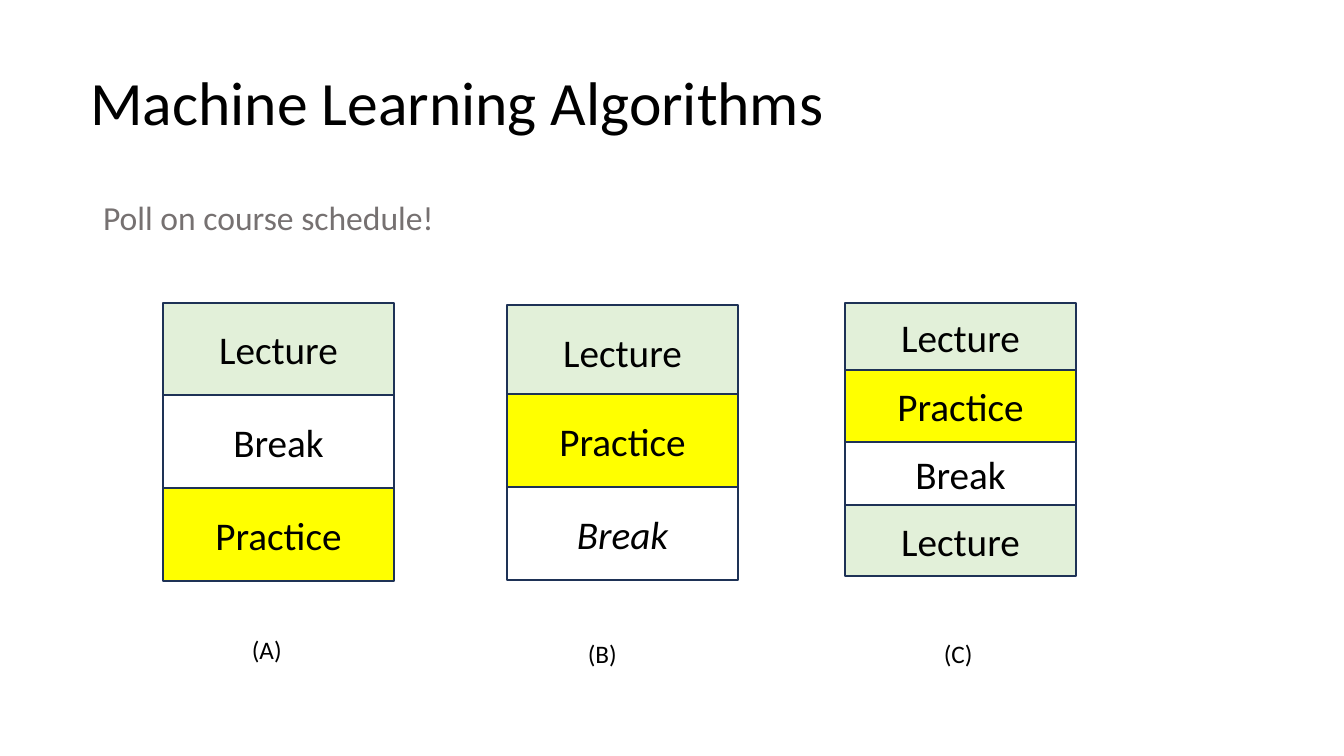
from pptx import Presentation
from pptx.dml.color import RGBColor as RGB
from pptx.enum.shapes import MSO_SHAPE as Shape
from pptx.enum.text import MSO_ANCHOR as Anchor, MSO_AUTO_SIZE as Fit, PP_ALIGN as Align
from pptx.oxml.ns import qn
from pptx.util import Pt

BLACK = RGB(0x00, 0x00, 0x00)
WHITE = RGB(0xFF, 0xFF, 0xFF)
GREY = RGB(0x76, 0x71, 0x71)
GREEN = RGB(0xE2, 0xF0, 0xD9)
YELLOW = RGB(0xFF, 0xFF, 0x00)
NAVY = RGB(0x1E, 0x32, 0x56)

FILLS = {"Lecture": GREEN, "Break": WHITE, "Practice": YELLOW}
BLOCK_WIDTH = 231

PLANS = [
    (163, [("Lecture", 303, 92), ("Break", 395, 93), ("Practice", 488, 93)]),
    (507, [("Lecture", 305, 93), ("Practice", 394, 93), ("Break", 487, 93)]),
    (845, [("Lecture", 303, 67), ("Practice", 370, 72),
           ("Break", 442, 63), ("Lecture", 505, 71)]),
]
LABELS = [("(A)", 242, 629), ("(B)", 578, 633), ("(C)", 934, 633)]


def px(count):
    return round(count * 914400 / 100.8)


def apply(target, values):
    for name, value in values.items():
        setattr(target, name, value)


class Deck:
    face = "Calibri"

    def __init__(self, width, height):
        self.file = Presentation()
        apply(self.file, {"slide_width": px(width), "slide_height": px(height)})
        self.slide = self.file.slides.add_slide(self.file.slide_layouts[1])

    def letter(self, shape, text, size, color=BLACK, frame=None, para=None, font=None):
        box = shape.text_frame
        box.text = text
        apply(box, frame or {})
        line = box.paragraphs[0]
        apply(line, para or {})
        style = line.runs[0].font
        apply(style, {"name": self.face, "size": Pt(size), **(font or {})})
        style.color.rgb = color
        return line

    def place(self, shape, left, top, width, height):
        apply(shape, {"left": px(left), "top": px(top),
                      "width": px(width), "height": px(height)})
        return shape

    def title(self, text, *area):
        shape = self.place(self.slide.shapes.title, *area)
        self.letter(shape, text, 44,
                    frame={"vertical_anchor": Anchor.BOTTOM, "auto_size": Fit.NONE},
                    para={"alignment": Align.LEFT, "line_spacing": 0.9})

    def body(self, text, *area):
        shape = self.place(self.slide.placeholders[1], *area)
        line = self.letter(shape, text, 24, GREY, frame={"auto_size": Fit.NONE},
                           para={"space_before": Pt(10)})
        props = line._p.get_or_add_pPr()
        for name in ("marL", "indent"):
            props.set(name, "0")
        props.append(props.makeelement(qn("a:buNone"), {}))

    def block(self, text, left, top, height, slant):
        area = map(px, (left, top, BLOCK_WIDTH, height))
        shape = self.slide.shapes.add_shape(Shape.RECTANGLE, *area)
        shape.shadow.inherit = False
        shape.fill.solid()
        shape.fill.fore_color.rgb = FILLS[text]
        shape.line.color.rgb = NAVY
        shape.line.width = Pt(1)
        self.letter(shape, text, 28, frame={"vertical_anchor": Anchor.MIDDLE},
                    para={"alignment": Align.CENTER}, font={"italic": slant})

    def label(self, text, left, top):
        area = map(px, (left, top, 50, 40))
        shape = self.slide.shapes.add_textbox(*area)
        self.letter(shape, text, 18,
                    frame={"word_wrap": False, "auto_size": Fit.SHAPE_TO_FIT_TEXT})


def main():
    deck = Deck(1344, 756)
    deck.title("Machine Learning Algorithms", 80, 52, 1159, 92)
    deck.body("Poll on course schedule!", 93, 192, 1159, 547)
    for left, blocks in PLANS:
        for text, top, height in blocks:
            final = (text, top, height) == blocks[-1]
            deck.block(text, left, top, height, final and text == "Break")
    for label in LABELS:
        deck.label(*label)
    deck.file.save("out.pptx")


if __name__ == "__main__":
    main()
